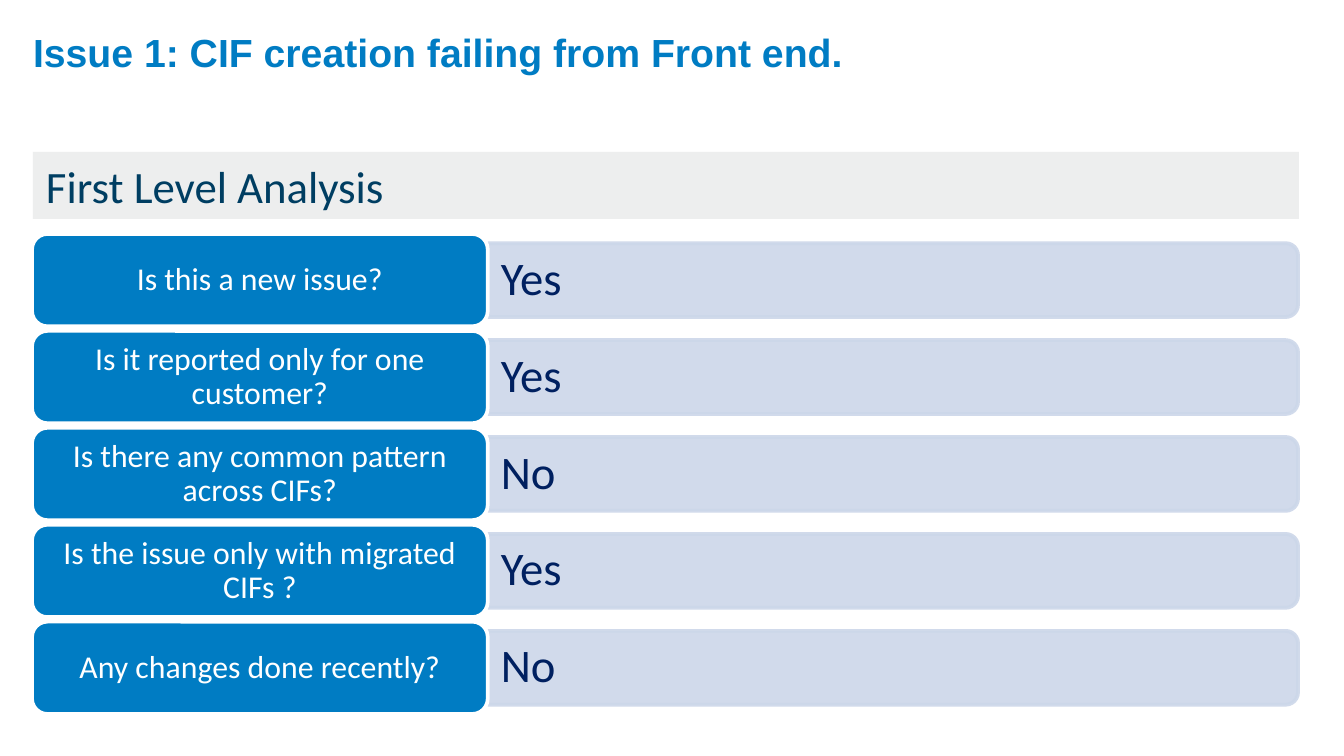
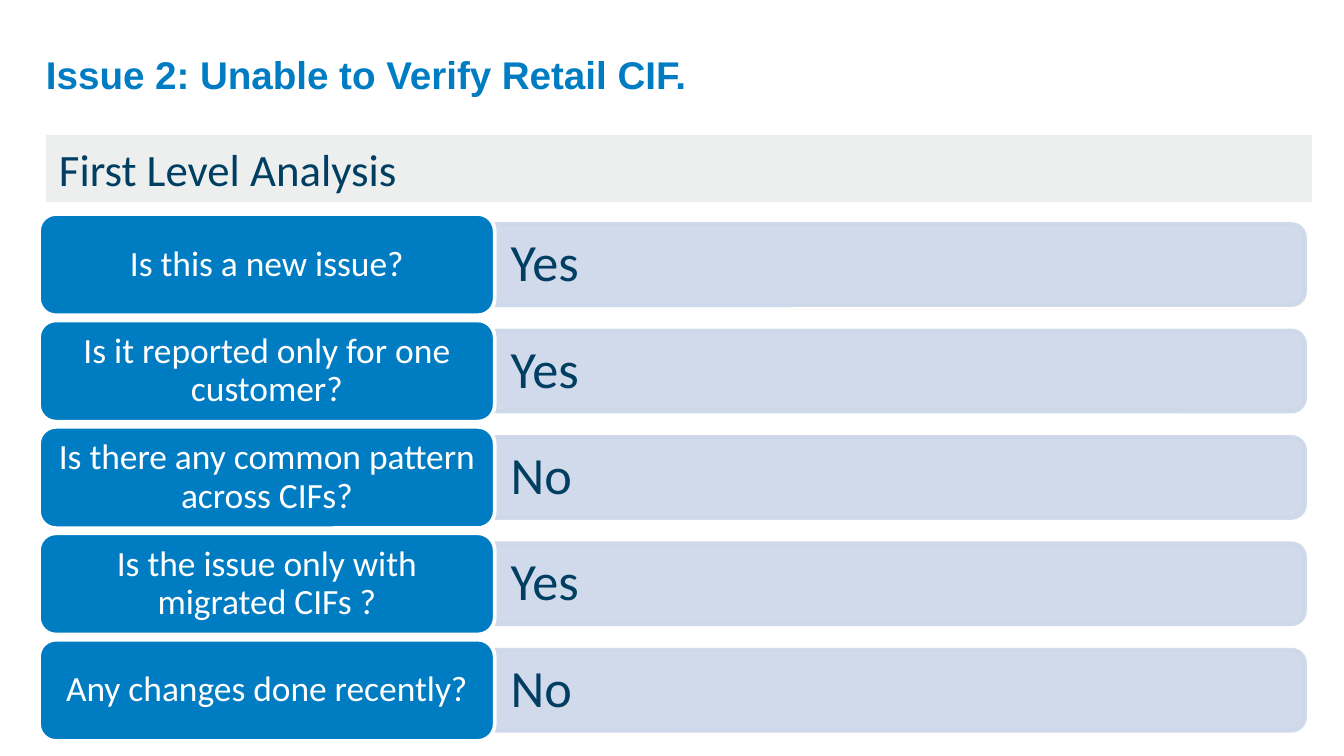
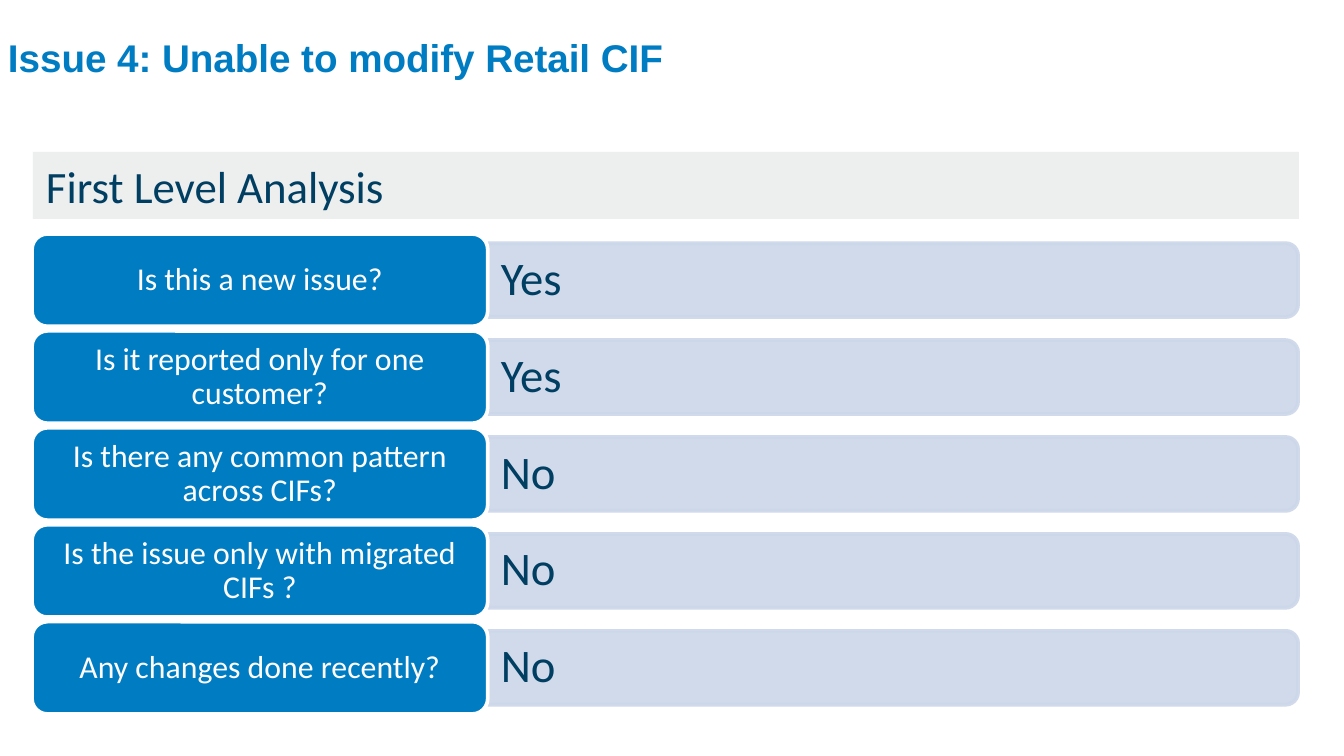
import pptx
import pptx.dml.color
import pptx.enum.shapes
import pptx.enum.text
import pptx.oxml.ns
import pptx.util
import lxml.etree

SHAPE = pptx.enum.shapes.MSO_SHAPE
ALIGN = pptx.enum.text.PP_ALIGN
MIDDLE = pptx.enum.text.MSO_ANCHOR.MIDDLE

EMU_PER_PX = 914400 / 134.4
BLUE = "007CC3"
BAR = "CCD7E9"
BAND = "EDEEEE"
NAVY = "003E62"
DEEP_BLUE = "002060"
WHITE = "FFFFFF"

QUESTIONS = [
    "Is this a new issue?",
    "Is it reported only for one customer?",
    "Is there any common pattern across CIFs?",
    "Is the issue only with migrated CIFs ?",
    "Any changes done recently?",
]

ISSUES = [
    dict(title="Issue 1: CIF creation failing from Front end.", title_at=(33, 30),
         title_size=21, band_at=(33, 152), rows_box=(32, 234, 1266, 480),
         answers=["Yes", "Yes", "No", "Yes", "No"], answer_color=DEEP_BLUE,
         answer_size=25, question_size=17, inset=13),
    dict(title="Issue 2: Unable to Verify Retail CIF.", title_at=(46, 52),
         title_size=20.7, band_at=(46, 135), rows_box=(39, 214, 1266, 527),
         answers=["Yes", "Yes", "No", "Yes", "No"], answer_color=NAVY,
         answer_size=28, question_size=19, inset=16),
    dict(title="Issue 4: Unable to modify Retail CIF", title_at=(8, 35),
         title_size=20.7, band_at=(33, 152), rows_box=(32, 234, 1266, 480),
         answers=["Yes", "Yes", "No", "No", "No"], answer_color=NAVY,
         answer_size=25, question_size=17, inset=13),
]


def px(n):
    return pptx.util.Emu(round(n * EMU_PER_PX))


def rgb(color):
    return pptx.dml.color.RGBColor.from_string(color)


def set_alpha(sp, percent):
    for clr in sp._element.spPr.iter(pptx.oxml.ns.qn("a:srgbClr")):
        alpha = lxml.etree.SubElement(clr, pptx.oxml.ns.qn("a:alpha"))
        alpha.set("val", str(percent * 1000))


def add_shape(s, kind, box, fill, line=None):
    sp = s.shapes.add_shape(kind, *map(px, box))
    sp.shadow.inherit = False
    sp.fill.solid()
    sp.fill.fore_color.rgb = rgb(fill)
    if line:
        sp.line.color.rgb = rgb(line)
        sp.line.width = pptx.util.Pt(2)
    else:
        sp.line.fill.background()
    return sp


def write(sp, text, size, color, font="Calibri", bold=False, align=ALIGN.LEFT,
          inset=(13, 7), spacing=0.9):
    tf = sp.text_frame
    tf.word_wrap = True
    tf.auto_size = pptx.enum.text.MSO_AUTO_SIZE.NONE
    tf.vertical_anchor = MIDDLE
    tf.margin_left = tf.margin_right = px(inset[0])
    tf.margin_top = tf.margin_bottom = px(inset[1])
    p = tf.paragraphs[0]
    p.alignment = align
    p.line_spacing = spacing
    r = p.add_run()
    r.text = text
    r.font.name = font
    r.font.size = pptx.util.Pt(size)
    r.font.bold = bold
    r.font.color.rgb = rgb(color)


def place_title(s, text, at, size):
    sp = s.shapes.title
    sp.left, sp.top, sp.width, sp.height = map(px, (*at, 1250, 50))
    write(sp, text, size, BLUE, font="Arial", bold=True, inset=(0, 0))


def add_band(s, at):
    sp = add_shape(s, SHAPE.RECTANGLE, (*at, 1266, 67), BAND)
    write(sp, "First Level Analysis", 24, NAVY, spacing=1)


def add_row(s, box, question, answer, issue):
    x, y, w, h = box
    tile_w = w * 0.36
    bar_x, bar_w, bar_h = x + tile_w, w - tile_w, h * 0.8
    upright = (bar_x + (bar_w - bar_h) / 2, y + (h - bar_w) / 2, bar_h, bar_w)
    bar = add_shape(s, SHAPE.ROUND_2_SAME_RECTANGLE, upright, BAR, BAR)
    bar.rotation = 90
    set_alpha(bar, 90)
    label = s.shapes.add_textbox(*map(px, (bar_x, y + h * 0.1, bar_w, bar_h)))
    write(label, answer, issue["answer_size"], issue["answer_color"],
          inset=(issue["inset"], 7))
    tile = add_shape(s, SHAPE.ROUNDED_RECTANGLE, (x, y, tile_w, h), BLUE, WHITE)
    write(tile, question, issue["question_size"], WHITE, align=ALIGN.CENTER,
          inset=(10, 5))


def add_rows(s, issue):
    x, y, w, h = issue["rows_box"]
    count = len(QUESTIONS)
    row_h = h / (count + 0.05 * (count - 1))
    for i, (question, answer) in enumerate(zip(QUESTIONS, issue["answers"])):
        add_row(s, (x, y + i * row_h * 1.05, w, row_h), question, answer, issue)


def add_issue_slide(prs, issue):
    s = prs.slides.add_slide(prs.slide_layouts[5])
    place_title(s, issue["title"], issue["title_at"], issue["title_size"])
    add_rows(s, issue)
    add_band(s, issue["band_at"])


def main():
    prs = pptx.Presentation()
    prs.slide_width = px(1344)
    prs.slide_height = px(756)
    for issue in ISSUES:
        add_issue_slide(prs, issue)
    prs.save("out.pptx")


if __name__ == "__main__":
    main()
